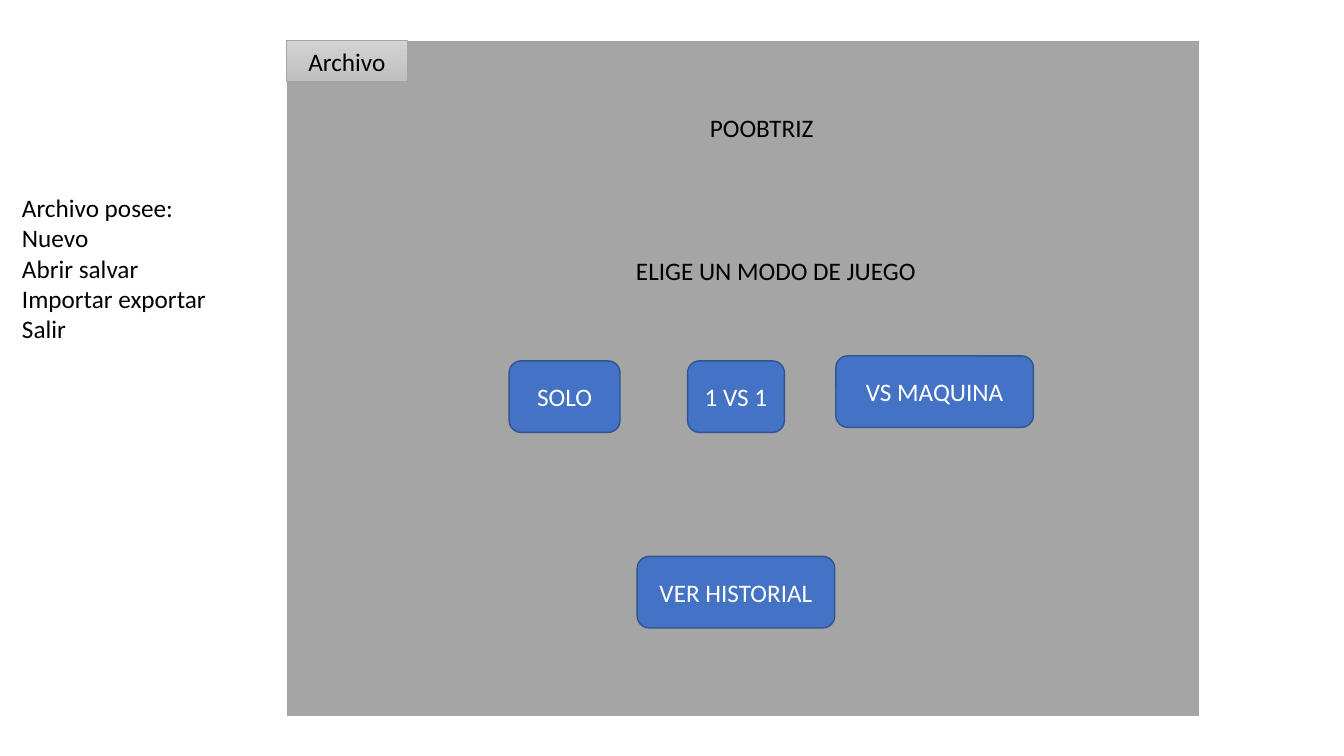
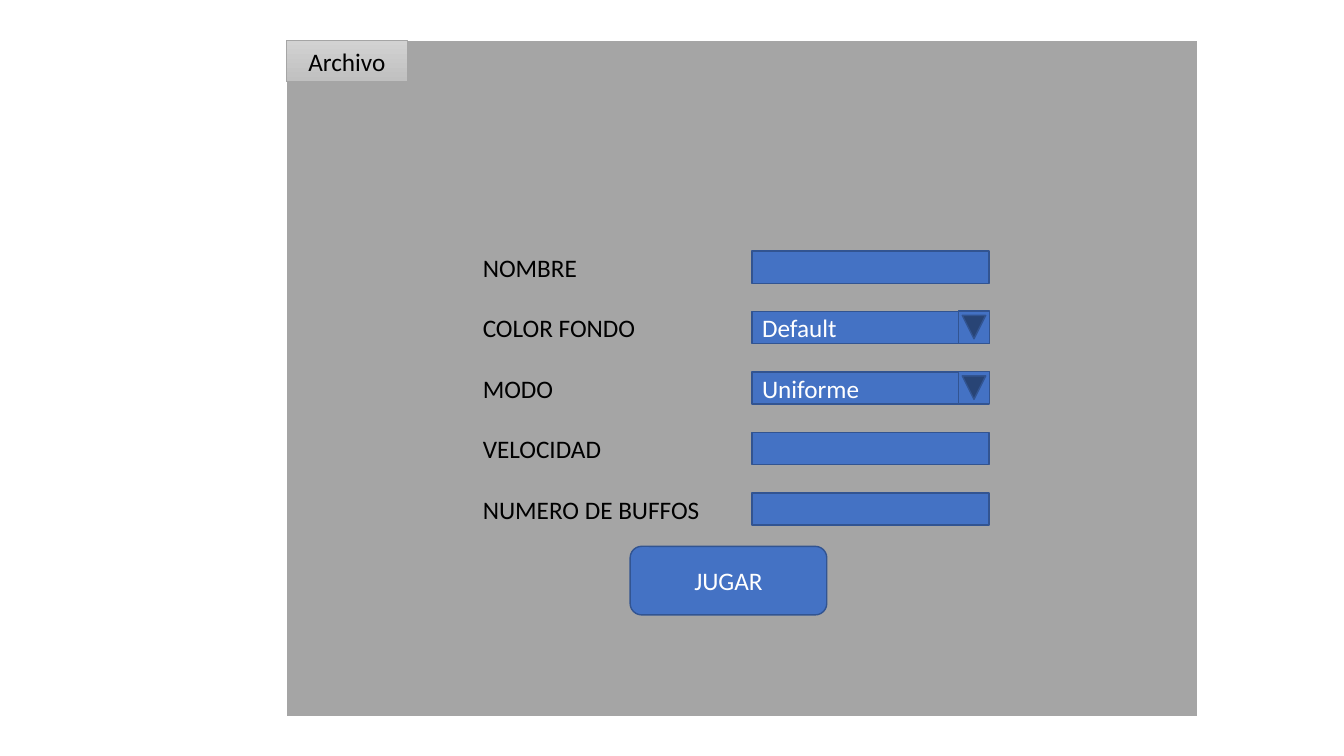
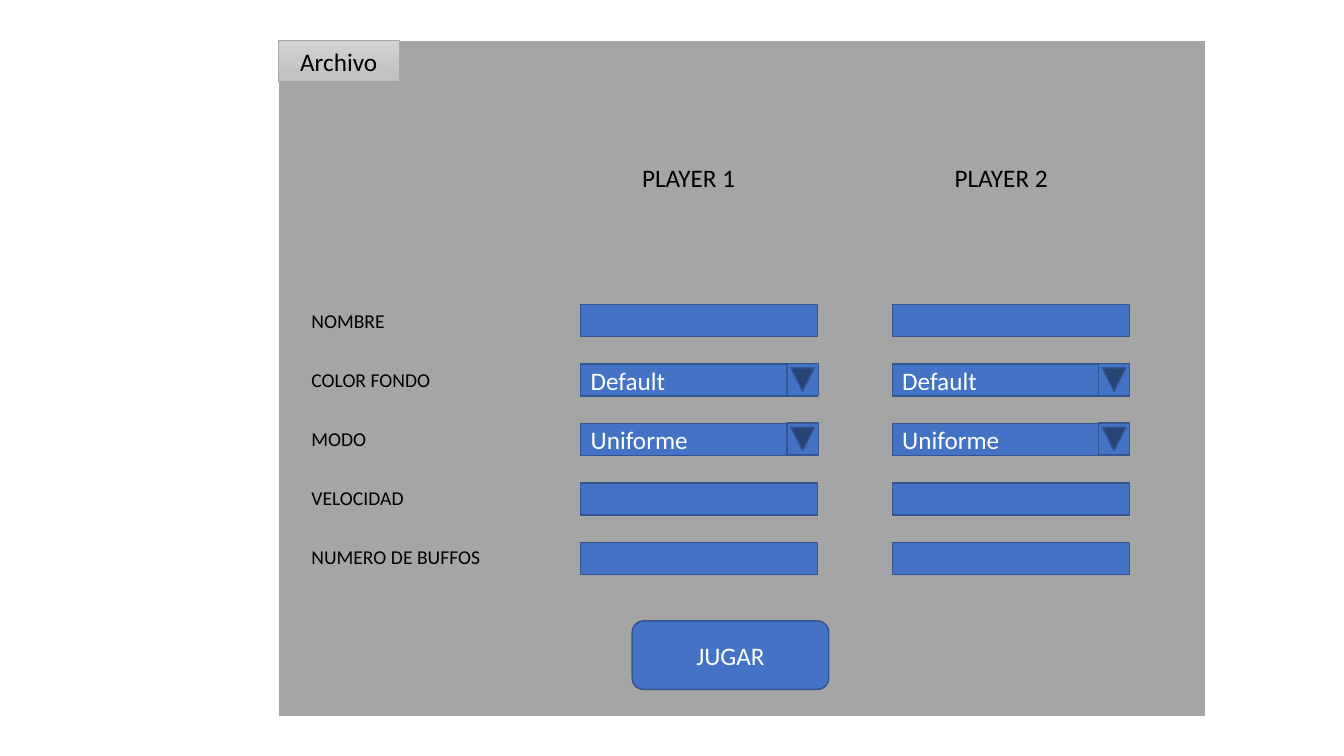
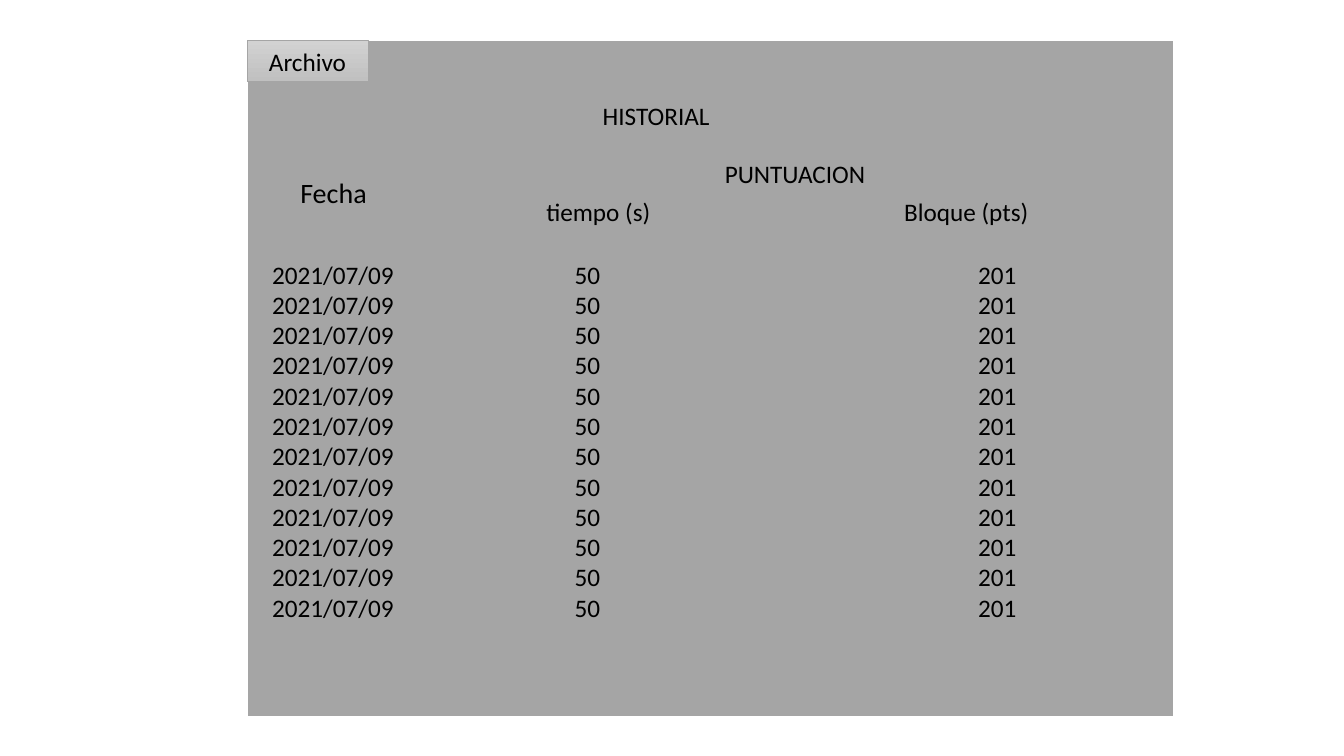
from dataclasses import dataclass

from pptx import Presentation
from pptx.dml.color import RGBColor
from pptx.enum.shapes import MSO_SHAPE
from pptx.enum.text import MSO_ANCHOR, MSO_AUTO_SIZE, PP_ALIGN
from pptx.util import Inches, Pt


@dataclass(frozen=True)
class Theme:
    font: str = "Calibri"
    body: float = 18
    small: float = 14
    large: float = 20
    ink: str = "000000"
    paper: str = "FFFFFF"
    panel: str = "A5A5A5"
    accent: str = "4472C4"
    edge: str = "325491"
    tab_top: str = "D2D2D2"
    tab_bottom: str = "C0C0C0"
    plain_table: str = "{2D5ABB26-0587-4C30-8999-92F81FD0307C}"


THEME = Theme()
COLUMNS, ROWS = 13.33, 7.5

MENU = "Archivo"
MENU_NOTE = ["Archivo posee:", "Nuevo", "Abrir salvar", "Importar exportar", "Salir"]
GAME_TITLE = "POOBTRIZ"
MODE_PROMPT = "ELIGE UN MODO DE JUEGO"
MODE_BUTTONS = [
    ("SOLO", (5.05, 3.58, 1.1, 0.71)),
    ("1 VS 1", (6.82, 3.58, 0.96, 0.71)),
    ("VS MAQUINA", (8.29, 3.53, 1.96, 0.71)),
    ("VER HISTORIAL", (6.32, 5.52, 1.96, 0.71)),
]

SETTINGS = [
    ("NOMBRE", None),
    ("COLOR FONDO", "Default"),
    ("MODO", "Uniforme"),
    ("VELOCIDAD", None),
    ("NUMERO DE BUFFOS", None),
]
PLAY = "JUGAR"
PLAYERS = [("PLAYER 1", 6.27, 5.76), ("PLAYER 2", 9.37, 8.85)]

HISTORY_HEADINGS = [
    ("HISTORIAL", (5.88, 0.95, 2.84, 0.4), THEME.body),
    ("Fecha", (2.88, 1.69, 2.84, 0.44), THEME.large),
    ("PUNTUACION", (7.09, 1.52, 2.84, 0.4), THEME.body),
    ("tiempo (s)", (5.32, 1.9, 2.84, 0.4), THEME.body),
    ("Bloque (pts)", (8.87, 1.9, 2.17, 0.4), THEME.body),
]
HISTORY = [("2021/07/09", "50", "201")] * 12
HISTORY_COLUMNS = (3, 4, 1.88)
HISTORY_LEFT, HISTORY_TOP, HISTORY_ROW = 2.6, 2.58, 0.3

FIELD_WIDTH, FIELD_HEIGHT = 2.35, 0.32
ARROW_WIDTH, ARROW_HEIGHT = 0.32, 0.31
PANEL_TOP, PANEL_HEIGHT = 0.4, 6.71
MENU_WIDTH, MENU_HEIGHT = 1.2, 0.41


def rgb(code):
    return RGBColor.from_string(code)


def place(box):
    return [Inches(length) for length in box]


def write(frame, lines, color, size=THEME.body, align=PP_ALIGN.LEFT):
    frame.text = "\n".join(lines)
    for paragraph in frame.paragraphs:
        paragraph.alignment = align
        for run in paragraph.runs:
            run.font.name = THEME.font
            run.font.size = Pt(size)
            run.font.color.rgb = rgb(color)


def add_label(slide, lines, box, size=THEME.body, align=PP_ALIGN.LEFT, wrap=True):
    frame = slide.shapes.add_textbox(*place(box)).text_frame
    frame.word_wrap = wrap
    frame.auto_size = MSO_AUTO_SIZE.SHAPE_TO_FIT_TEXT
    write(frame, lines, THEME.ink, size, align)
    return frame


def add_block(slide, kind, box, text=None, fill=THEME.accent, edge=THEME.edge,
              weight=1, color=THEME.paper, align=PP_ALIGN.CENTER):
    block = slide.shapes.add_shape(kind, *place(box))
    block.shadow.inherit = False
    block.fill.solid()
    block.fill.fore_color.rgb = rgb(fill)
    block.line.color.rgb = rgb(edge)
    block.line.width = Pt(weight)
    if text:
        block.text_frame.vertical_anchor = MSO_ANCHOR.MIDDLE
        write(block.text_frame, [text], color, align=align)
    return block


def add_button(slide, text, box):
    add_block(slide, MSO_SHAPE.ROUNDED_RECTANGLE, box, text)


def add_window(deck, left, width):
    slide = deck.slides.add_slide(deck.slide_layouts[6])
    add_block(slide, MSO_SHAPE.RECTANGLE, (left, PANEL_TOP, width, PANEL_HEIGHT),
              fill=THEME.panel, edge=THEME.paper, weight=1.5)
    menu = add_block(slide, MSO_SHAPE.RECTANGLE, (left, PANEL_TOP, MENU_WIDTH, MENU_HEIGHT),
                     MENU, edge=THEME.panel, weight=0.5, color=THEME.ink)
    menu.fill.gradient()
    menu.fill.gradient_angle = 270
    for stop, shade in zip(menu.fill.gradient_stops, (THEME.tab_top, THEME.tab_bottom)):
        stop.color.rgb = rgb(shade)
    return slide


def add_setting_names(slide, box, size, gap, spacing=None):
    names = add_label(slide, [name for name, _ in SETTINGS], box, size)
    for paragraph in names.paragraphs:
        paragraph.line_spacing = spacing
    for paragraph in names.paragraphs[:-1]:
        paragraph.space_after = Pt(gap)


def add_fields(slide, left, top, pitch):
    for row, (_, choice) in enumerate(SETTINGS):
        y = top + row * pitch
        add_block(slide, MSO_SHAPE.RECTANGLE, (left, y, FIELD_WIDTH, FIELD_HEIGHT),
                  choice, align=PP_ALIGN.LEFT)
        if choice:
            arrow_left = left + FIELD_WIDTH - ARROW_HEIGHT
            arrow = add_block(slide, MSO_SHAPE.ACTION_BUTTON_BACK_OR_PREVIOUS,
                              (arrow_left, y, ARROW_WIDTH, ARROW_HEIGHT))
            arrow.rotation = 270


def add_history(slide):
    box = (HISTORY_LEFT, HISTORY_TOP, sum(HISTORY_COLUMNS), HISTORY_ROW * len(HISTORY))
    frame = slide.shapes.add_table(len(HISTORY), len(HISTORY_COLUMNS), *place(box))
    table = frame.table
    table.first_row = table.horz_banding = False
    frame._element.xpath(".//a:tableStyleId")[0].text = THEME.plain_table
    for column, width in zip(table.columns, HISTORY_COLUMNS):
        column.width = Inches(width)
    for row, entry in zip(table.rows, HISTORY):
        row.height = Inches(HISTORY_ROW)
        for cell, value in zip(row.cells, entry):
            cell.fill.background()
            cell.margin_top = cell.margin_bottom = 0
            write(cell.text_frame, [value], THEME.ink)


deck = Presentation()
deck.slide_width, deck.slide_height = place((COLUMNS, ROWS))

start = add_window(deck, 2.84, 9.06)
add_label(start, [GAME_TITLE], (5.99, 1.07, 3.13, 0.4), align=PP_ALIGN.CENTER)
add_label(start, [MODE_PROMPT], (6.21, 2.48, 3.13, 0.4))
add_label(start, MENU_NOTE, (0.12, 1.86, 2.04, 1.92), wrap=False)
for mode, box in MODE_BUTTONS:
    add_button(start, mode, box)

solo = add_window(deck, 2.84, 9.04)
add_setting_names(solo, (4.69, 2.45, 3.13, 2.83), THEME.body, 21.6)
add_fields(solo, 7.46, 2.49, 0.6)
add_button(solo, PLAY, (6.25, 5.42, 1.95, 0.68))

versus = add_window(deck, 2.76, 9.2)
add_setting_names(versus, (2.99, 2.96, 3.13, 2.73), THEME.small, 21, Pt(21))
for player, heading_left, field_left in PLAYERS:
    add_label(versus, [player], (heading_left, 1.56, 1.2, 0.4), wrap=False)
    add_fields(versus, field_left, 3.02, 0.59)
add_button(versus, PLAY, (6.27, 6.16, 1.95, 0.68))

scores = add_window(deck, 2.45, 9.2)
for heading, box, size in HISTORY_HEADINGS:
    add_label(scores, [heading], box, size)
add_history(scores)

deck.save("out.pptx")
